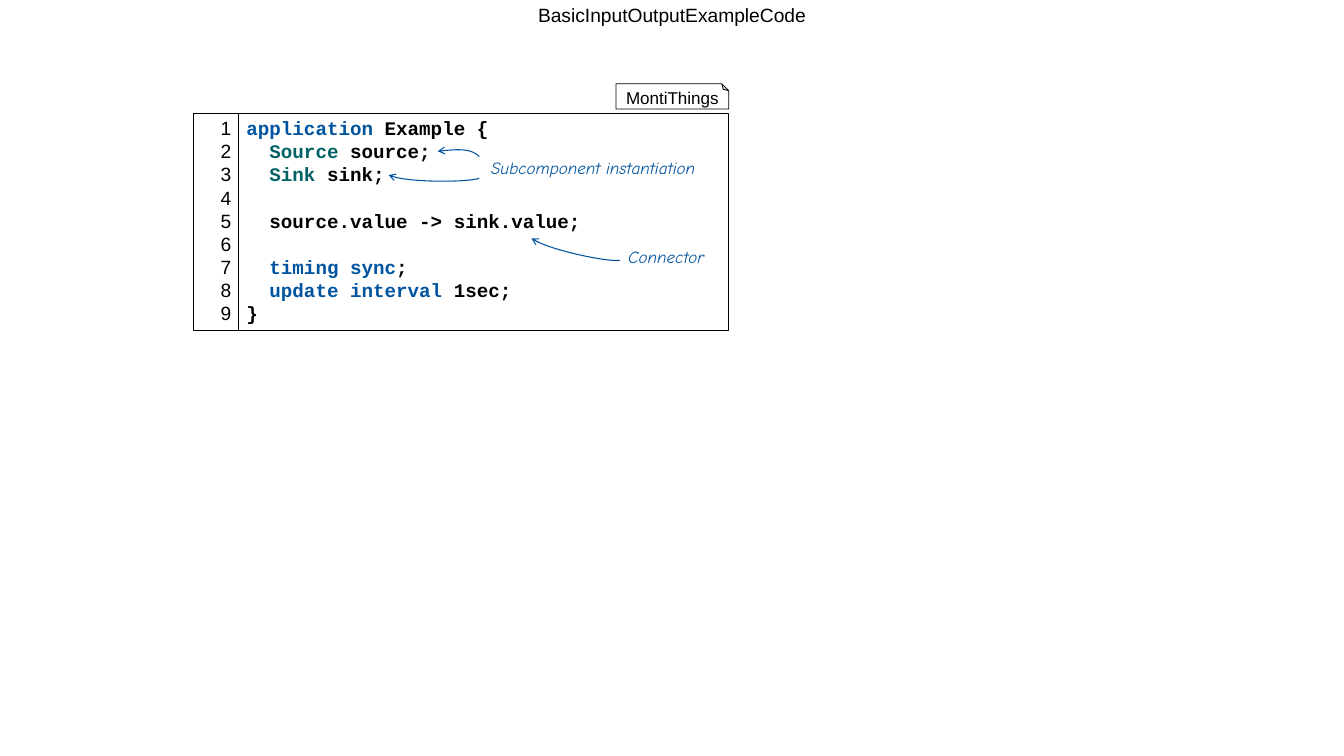
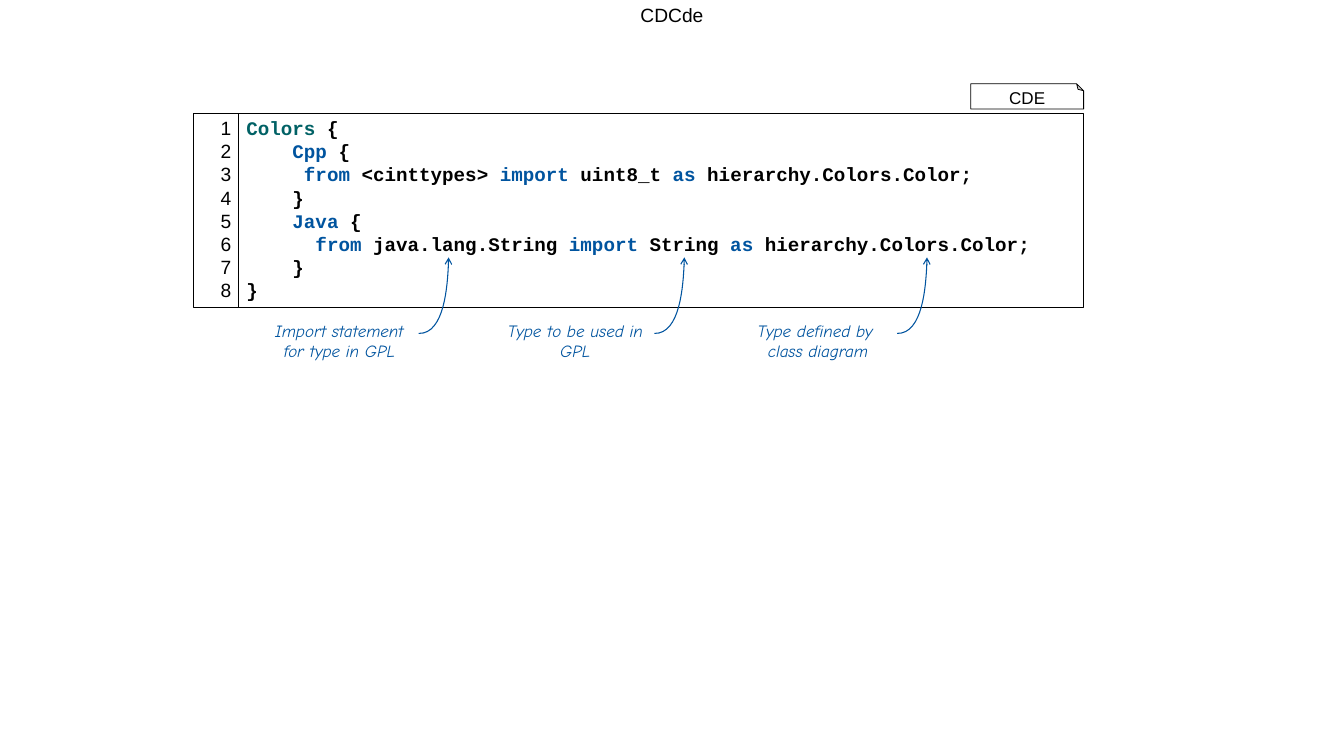
from copy import deepcopy
from lxml import etree
from pptx import Presentation
from pptx import util as u
from pptx.dml.color import RGBColor
from pptx.enum import shapes, text
from pptx.oxml.ns import qn

BLACK = RGBColor(0x00, 0x00, 0x00)
WHITE = RGBColor(0xFF, 0xFF, 0xFF)
BLUE = RGBColor(0x00, 0x54, 0x9F)
TEAL = RGBColor(0x00, 0x61, 0x65)

WIDE, HIGH = 17.5, 9.84
COL, ROW = 0.15, 0.3
LEFT, TOP, GUTTER = 3.11, 1.47, 0.59
PAD_X, PAD_Y = 0.1, 0.05
PITCH = u.Pt(21.6)

PLAIN = {"name": "Arial", "size": u.Pt(18)}
CODE = {"name": "Courier New", "size": u.Pt(18), "bold": True}
TAG = {"name": "Arial", "size": u.Pt(16)}
NOTE = {"name": "Comic Neue", "size": u.Pt(16), "italic": True}

AL = text.PP_ALIGN


def grid(col, row):
    """Return the inches of a character column and line row of the listing."""
    return LEFT + PAD_X + col * COL, TOP + PAD_Y + row * ROW


def inches(*vals):
    """Turn numbers into lengths in inches."""
    return [u.Inches(val) for val in vals]


def write(para, runs, font, align):
    """Add coloured runs to a paragraph in one font."""
    para.alignment = align
    for words, color in runs:
        for num, part in enumerate(words.split("\n")):
            if num:
                para.add_line_break()
            run = para.add_run()
            run.text = part
            for key, val in font.items():
                setattr(run.font, key, val)
            run.font.color.rgb = color
            for gap in para._p.findall(qn("a:br")):
                if not len(gap):
                    gap.append(deepcopy(run._r.rPr))


def label(slide, box, words, font, color):
    """Place a centred text box."""
    frame = slide.shapes.add_textbox(*inches(*box)).text_frame
    frame.word_wrap = True
    write(frame.paragraphs[0], [(words, color)], font, AL.CENTER)


def outline(slide, kind, box):
    """Place a thin black outline without fill."""
    shape = slide.shapes.add_shape(kind, *inches(*box))
    shape.shadow.inherit = False
    shape.fill.background()
    shape.line.color.rgb = BLACK
    shape.line.width = u.Pt(0.75)
    return shape


def panel(slide, box, lines, font, align):
    """Place a framed column of lines, each given as indent, gap and runs."""
    frame = outline(slide, shapes.MSO_SHAPE.RECTANGLE, box).text_frame
    frame.word_wrap = True
    frame.vertical_anchor = text.MSO_ANCHOR.TOP
    for num, (indent, gap, runs) in enumerate(lines):
        para = frame.add_paragraph() if num else frame.paragraphs[0]
        write(para, runs, font, align)
        para.line_spacing = PITCH
        para.space_before = u.Emu(gap * PITCH)
        para._p.get_or_add_pPr().set("marL", str(u.Inches(indent * COL)))


def tag(slide, right, words):
    """Place the folded language tag above the listing's right edge."""
    wide, high = 1.47, 0.33
    box = right - wide, TOP - 0.38, wide, high
    shape = outline(slide, shapes.MSO_SHAPE.FOLDED_CORNER, box)
    props = shape._element.spPr
    props.find(qn("a:xfrm")).set("flipV", "1")
    folds = props.find(qn("a:prstGeom")).get_or_add_avLst()
    etree.SubElement(folds, qn("a:gd"), name="adj", fmla="val 27600")
    shape.fill.solid()
    shape.fill.fore_color.rgb = WHITE
    frame = shape.text_frame
    frame._txBody.bodyPr.set("rot", "10800000")
    frame.word_wrap = False
    frame.vertical_anchor = text.MSO_ANCHOR.MIDDLE
    para = frame.paragraphs[0]
    write(para, [(words, BLACK)], TAG, AL.CENTER)
    para.line_spacing = 0.7


def listing(slide, cols, lang, lines):
    """Place numbered code with its language tag."""
    count = sum(1 + gap for _, gap, _ in lines)
    wide, high = cols * COL + 2 * PAD_X, count * ROW + 0.13
    panel(slide, (LEFT, TOP, wide, high), lines, CODE, AL.LEFT)
    nums = [(0, 0, [(str(num + 1), BLACK)]) for num in range(count)]
    panel(slide, (LEFT - GUTTER, TOP, GUTTER, high), nums, PLAIN, AL.RIGHT)
    tag(slide, LEFT + wide, lang)


def note(slide, col, row, cols, rows, words):
    """Place a remark on the character grid."""
    label(slide, (*grid(col, row), cols * COL, rows * ROW), words, NOTE, BLUE)


def arrow(slide, *spots):
    """Draw a curved arrow through four Bezier points on the grid."""
    start, *rest = [inches(*grid(*spot)) for spot in spots]
    pen = slide.shapes.build_freeform(*start)
    pen.add_line_segments(rest, close=False)
    shape = pen.convert_to_shape()
    shape.shadow.inherit = False
    shape.fill.background()
    shape.line.color.rgb = BLUE
    shape.line.width = u.Pt(1)
    trace = shape._element.xpath(".//a:path")[0]
    curve = etree.SubElement(trace, qn("a:cubicBezTo"))
    for step in trace.findall(qn("a:lnTo")):
        curve.append(step[0])
        trace.remove(step)
    edge = shape._element.spPr.find(qn("a:ln"))
    etree.SubElement(edge, qn("a:tailEnd"), type="arrow")


def page(deck, title):
    """Add a blank slide with its heading."""
    slide = deck.slides.add_slide(deck.slide_layouts[6])
    label(slide, (3.63, 0, 10.24, 0.4), title, PLAIN, BLACK)
    return slide


def basic(deck):
    """Build the input and output example."""
    slide = page(deck, "BasicInputOutputExampleCode")
    listing(slide, 41.2, "MontiThings", [
        (0, 0, [("application", BLUE), (" Example {", BLACK)]),
        (2, 0, [("Source", TEAL), (" source;", BLACK)]),
        (2, 0, [("Sink", TEAL), (" sink;", BLACK)]),
        (2, 1, [("source.value -> sink.value;", BLACK)]),
        (2, 1, [("timing sync", BLUE), (";", BLACK)]),
        (2, 0, [("update interval ", BLUE), ("1sec;", BLACK)]),
        (0, 0, [("}", BLACK)]),
    ])
    note(slide, 19.33, 1.6, 21.53, 1.23, "Subcomponent instantiation")
    arrow(slide, (20.2, 1.73), (19.6, 1.43), (18.67, 1.37), (16.6, 1.5))
    arrow(slide, (20.2, 2.67), (19.33, 2.83), (13.8, 2.87), (12.33, 2.53))
    note(slide, 31.13, 5.47, 10.6, 1.23, "Connector")
    arrow(slide, (32.4, 6.23), (31.47, 6.3), (26.07, 5.77), (24.73, 5.27))


def colors(deck):
    """Build the class diagram example."""
    slide = page(deck, "CDCde")
    target = ("hierarchy.Colors.Color;", BLACK)
    listing(slide, 72, "CDE", [
        (0, 0, [("Colors", TEAL), (" {", BLACK)]),
        (4, 0, [("Cpp", BLUE), (" {", BLACK)]),
        (5, 0, [("from", BLUE), (" <cinttypes> ", BLACK), ("import", BLUE),
                (" uint8_t ", BLACK), ("as ", BLUE), target]),
        (4, 0, [("}", BLACK)]),
        (4, 0, [("Java", BLUE), (" {", BLACK)]),
        (6, 0, [("from ", BLUE), ("java.lang.String ", BLACK),
                ("import", BLUE), (" String ", BLACK), ("as ", BLUE), target]),
        (4, 0, [("}", BLACK)]),
        (0, 0, [("}", BLACK)]),
    ])
    bend = [(14.47, 9.4), (16.73, 9.43), (17.07, 6.7), (17.07, 6.1)]
    for col, words in [
        (0.47, "Import statement\nfor type in GPL"),
        (20.93, "Type to be used in GPL"),
        (42, "Type defined by \nclass diagram"),
    ]:
        note(slide, col, 8.67, 15.2, 2.13, words)
        arrow(slide, *[(col + step, row) for step, row in bend])


def main():
    """Build and save the deck."""
    deck = Presentation()
    deck.slide_width, deck.slide_height = inches(WIDE, HIGH)
    basic(deck)
    colors(deck)
    deck.save("out.pptx")


main()
